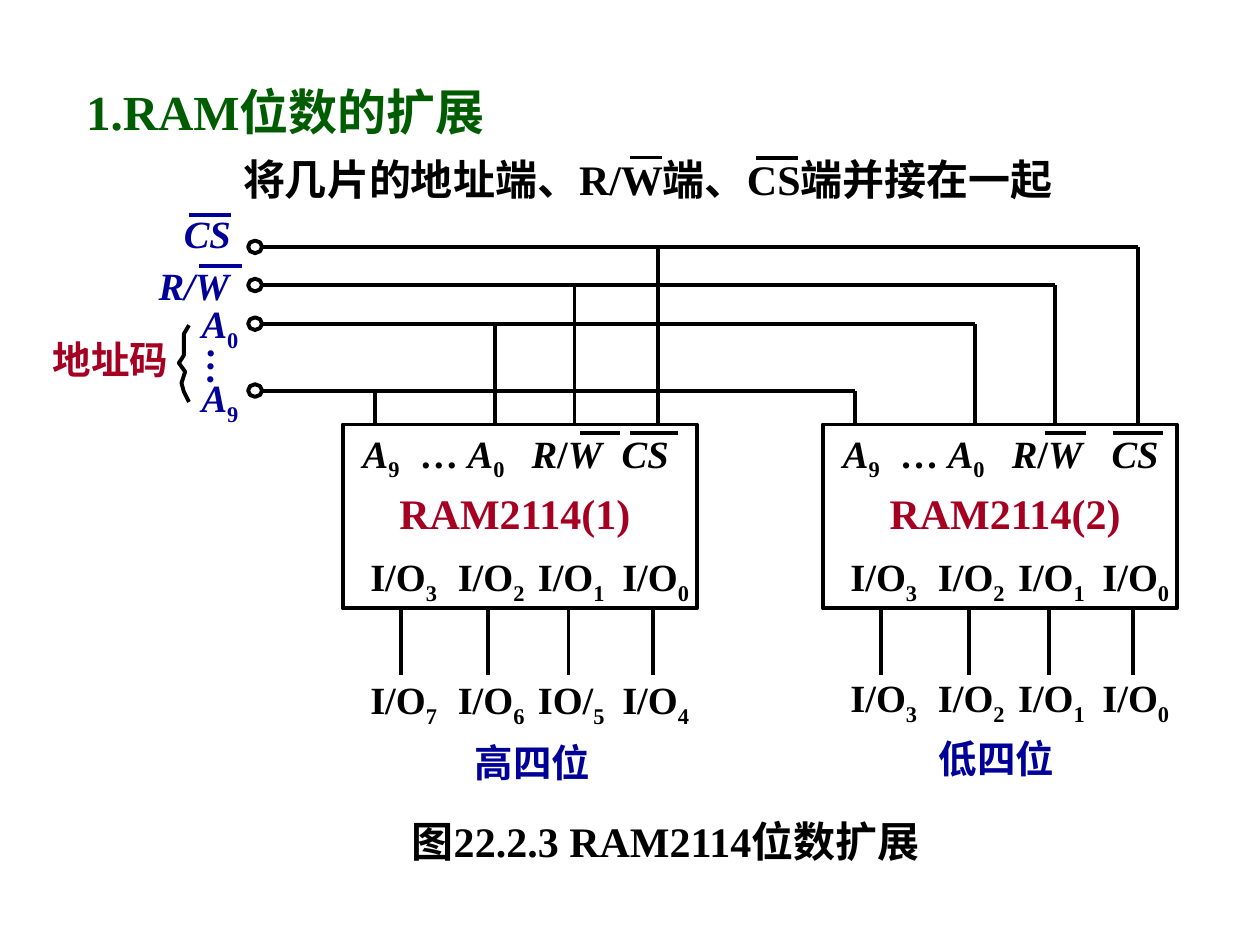
from math import cos, pi, sin

from lxml.etree import SubElement
from pptx import Presentation
from pptx.dml.color import RGBColor
from pptx.enum.shapes import MSO_CONNECTOR as Connector
from pptx.enum.shapes import MSO_SHAPE as Shape
from pptx.enum.text import MSO_ANCHOR as Anchor
from pptx.enum.text import MSO_AUTO_SIZE as AutoSize
from pptx.enum.text import PP_ALIGN as Align
from pptx.oxml.ns import qn
from pptx.util import Pt

BLACK = RGBColor(0x00, 0x00, 0x00)
GREEN = RGBColor(0x00, 0x5C, 0x00)
RED = RGBColor(0xA5, 0x00, 0x21)
BLUE = RGBColor(0x00, 0x00, 0x99)

CHIP_TOP, CHIP_WIDTH, CHIP_HEIGHT = 242.6, 202.3, 105.1
CHIP_BOTTOM = CHIP_TOP + CHIP_HEIGHT
PIN_LENGTH = 38.2
BUS_LEFT = 149.8
# Height of each bus, and where it meets a chip, from the chip's left side
BUSES = [(223.2, 18.5), (185, 87.1), (162.9, 132.5), (141.1, 180)]
IO_COLUMNS = [15.8, 65.8, 111.6, 159.8]
IO_INSIDE = [("I/O", "3"), ("I/O", "2"), ("I/O", "1"), ("I/O", "0")]

CHIPS = [
    {
        "left": 195.8, "name": "RAM2114(1)", "name_left": 228.2, "cs_tab": 148,
        "outside": [("I/O", "7"), ("I/O", "6"), ("IO/", "5"), ("I/O", "4")],
        "outside_top": 386.6, "half": "高四位", "half_at": (271.4, 422.6),
        "overlines": [(331.2, 354.2), (360, 387.4)],
    },
    {
        "left": 470.2, "name": "RAM2114(2)", "name_left": 508.3, "cs_tab": 153.5,
        "outside": IO_INSIDE,
        "outside_top": 385.2, "half": "低四位", "half_at": (536.4, 419.8),
        "overlines": [(596.9, 620.6), (635.8, 664.6)],
    },
]
BRACE = [(108, 185.8), (105.1, 190.8), (105.1, 203), (103.7, 205.2),
         (102.2, 207.4), (103.7, 209.5), (105.8, 212.4), (103.7, 218.9),
         (105.1, 223.9), (108, 229.7)]


class Diagram:
    """Draws on one slide in one style; all lengths are in points."""

    font_name = "Times New Roman"
    line_width = 2.25

    def __init__(self, slide):
        self.slide = slide
        self.shapes = slide.shapes

    def fill_frame(self, shape, runs, color, size, inset, wrap, tabs=()):
        """Write runs of (text, style), style being "", "italic" or "sub"."""
        frame = shape.text_frame
        settings = {
            "word_wrap": wrap, "auto_size": AutoSize.NONE,
            "vertical_anchor": Anchor.TOP,
            "margin_left": Pt(2 * inset), "margin_right": Pt(2 * inset),
            "margin_top": Pt(inset), "margin_bottom": Pt(inset),
        }
        for name, value in settings.items():
            setattr(frame, name, value)
        paragraph = frame.paragraphs[0]
        paragraph.alignment = Align.LEFT
        if tabs:
            tab_list = SubElement(paragraph._p.get_or_add_pPr(), qn("a:tabLst"))
            for position in tabs:
                SubElement(tab_list, qn("a:tab"), pos=str(Pt(position)), algn="l")
        for text, style in runs:
            run = paragraph.add_run()
            run.text = text
            font = {"name": self.font_name, "size": Pt(size), "bold": True,
                    "italic": style == "italic"}
            for name, value in font.items():
                setattr(run.font, name, value)
            run.font.color.rgb = color
            if style == "sub":
                run._r.get_or_add_rPr().set("baseline", "-25000")

    def title(self, text, left, top, width, height, color, size):
        shape = self.shapes.title
        bounds = {"left": left, "top": top, "width": width, "height": height}
        for name, value in bounds.items():
            setattr(shape, name, Pt(value))
        self.fill_frame(shape, [(text, "")], color, size, 3.6, True)

    def text(self, content, left, top, width, height, color=BLACK, size=22,
             inset=0, wrap=False, tabs=(), rotation=0):
        box = self.shapes.add_textbox(Pt(left), Pt(top), Pt(width), Pt(height))
        box.rotation = rotation
        runs = [(content, "")] if isinstance(content, str) else content
        self.fill_frame(box, runs, color, size, inset, wrap, tabs)

    def line(self, x1, y1, x2, y2, color=BLACK):
        connector = self.shapes.add_connector(
            Connector.STRAIGHT, Pt(x1), Pt(y1), Pt(x2), Pt(y2))
        connector.line.color.rgb = color
        connector.line.width = Pt(self.line_width)
        SubElement(connector._element.spPr, qn("a:effectLst"))

    def outline(self, shape):
        shape.shadow.inherit = False
        shape.fill.background()
        shape.line.color.rgb = BLACK
        shape.line.width = Pt(self.line_width)

    def rectangle(self, left, top, width, height):
        self.outline(self.shapes.add_shape(
            Shape.RECTANGLE, Pt(left), Pt(top), Pt(width), Pt(height)))

    def freeform(self, points, close):
        first, *rest = [(Pt(x), Pt(y)) for x, y in points]
        builder = self.shapes.build_freeform(*first)
        builder.add_line_segments(rest, close=close)
        self.outline(builder.convert_to_shape())

    def terminal(self, right, middle, radius_x=4, radius_y=3.6):
        """Draw an eight-sided ring whose right corner is given."""
        angles = [step * pi / 4 for step in range(8)]
        self.freeform([(right - radius_x + radius_x * cos(angle),
                        middle + radius_y * sin(angle)) for angle in angles], True)

    def io_labels(self, chip_left, top, labels):
        for column, (name, number) in zip(IO_COLUMNS, labels):
            self.text([(name, ""), (number, "sub")],
                      chip_left + column, top, 38.2, 30)

    def chip(self, chip):
        left = chip["left"]
        pins = [("A", "italic"), ("9", "sub"), ("\t… ", ""), ("A", "italic"),
                ("0", "sub"), ("\t", ""), ("R", "italic"), ("/", ""),
                ("W\tCS", "italic")]
        self.text(pins, left + 11.5, 245.5, 186, 30, wrap=True,
                  tabs=(32.5, 96.5, chip["cs_tab"]))
        self.text(chip["name"], chip["name_left"], 278.6, 133.2, 28.8, RED, 24)
        self.io_labels(left, 316.1, IO_INSIDE)
        self.io_labels(left, chip["outside_top"], chip["outside"])
        self.text(chip["half"], *chip["half_at"], 66.2, 26.6, BLUE)
        self.rectangle(left, CHIP_TOP, CHIP_WIDTH, CHIP_HEIGHT)
        for column in IO_COLUMNS:
            x = left + column + 17.5
            self.line(x, CHIP_BOTTOM, x, CHIP_BOTTOM + PIN_LENGTH)
        for bus_y, offset in BUSES:
            self.line(left + offset, CHIP_TOP, left + offset, bus_y)
        for start, end in chip["overlines"]:
            self.line(start, 247.2, end, 247.2)


def main():
    presentation = Presentation()
    presentation.slide_width, presentation.slide_height = Pt(720), Pt(540)
    diagram = Diagram(presentation.slides.add_slide(presentation.slide_layouts[5]))

    diagram.title("1.RAM位数的扩展", 42, 43.2, 270, 41, GREEN, 28)
    diagram.text("图22.2.3 RAM2114位数扩展", 228.2, 462.2, 312, 65,
                 size=24, inset=3.6, wrap=True)
    diagram.text("将几片的地址端、R/W端、CS端并接在一起", 131.8, 84.2, 504, 36,
                 size=24, inset=3.6, wrap=True)
    diagram.line(360, 90, 378, 90)
    diagram.line(432, 90.5, 456, 90.5)

    for chip in CHIPS:
        diagram.chip(chip)
    for bus_y, offset in BUSES:
        diagram.line(CHIPS[-1]["left"] + offset, bus_y, BUS_LEFT, bus_y)
        diagram.terminal(BUS_LEFT, bus_y)

    diagram.text([("CS", "italic")], 105.1, 120.2, 26.6, 26.6, BLUE)
    diagram.text([("R/W", "italic")], 90.7, 149.8, 40.3, 26.6, BLUE)
    for number, top in (("0", 171.4), ("9", 213.8)):
        diagram.text([("A", "italic"), (number, "sub")],
                     115.2, top, 20.9, 30, BLUE)
    diagram.text("…", 101.5, 200.9, 51.8, 33.8, BLUE,
                 inset=3.6, wrap=True, rotation=91.1)
    diagram.line(108, 123.1, 131.8, 123.1, BLUE)
    diagram.line(113.8, 151.9, 138.2, 151.9, BLUE)
    diagram.text("地址码", 30.2, 192.2, 66.2, 26.6, RED)
    diagram.freeform(BRACE, False)

    presentation.save("out.pptx")


if __name__ == "__main__":
    main()
